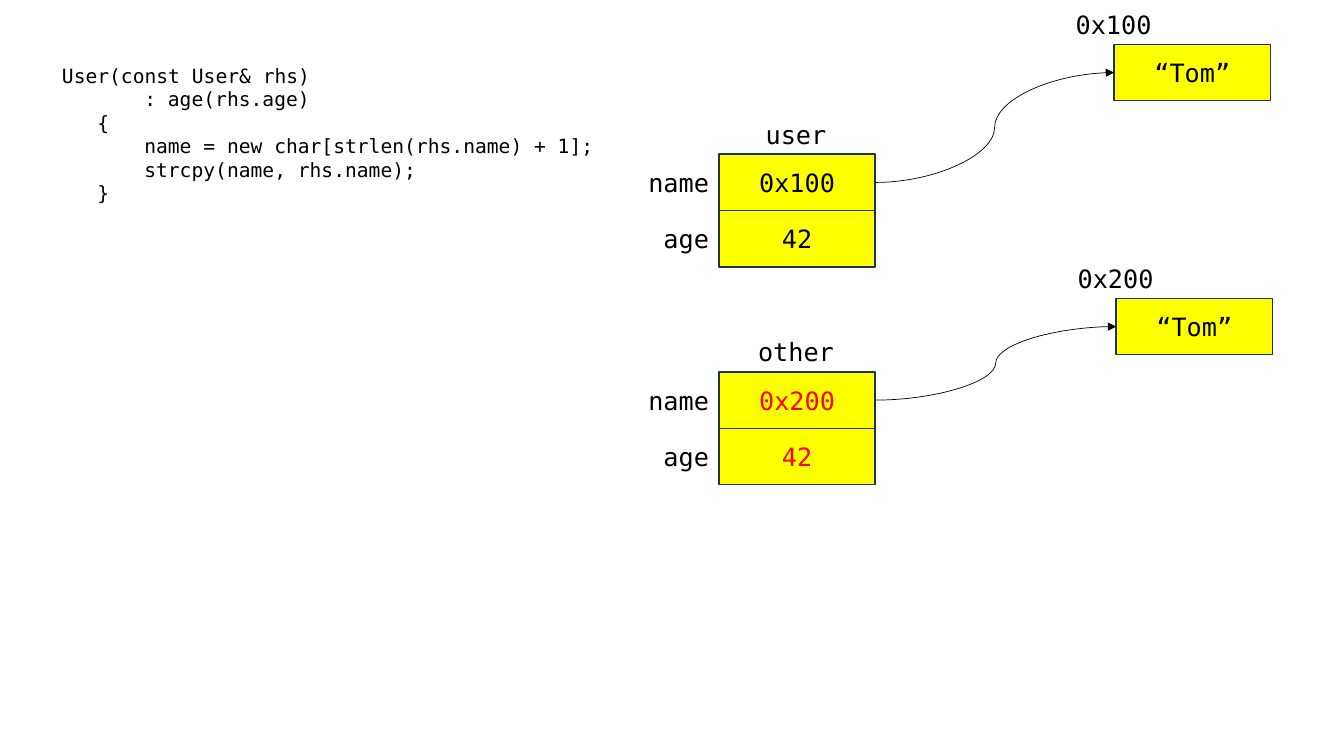
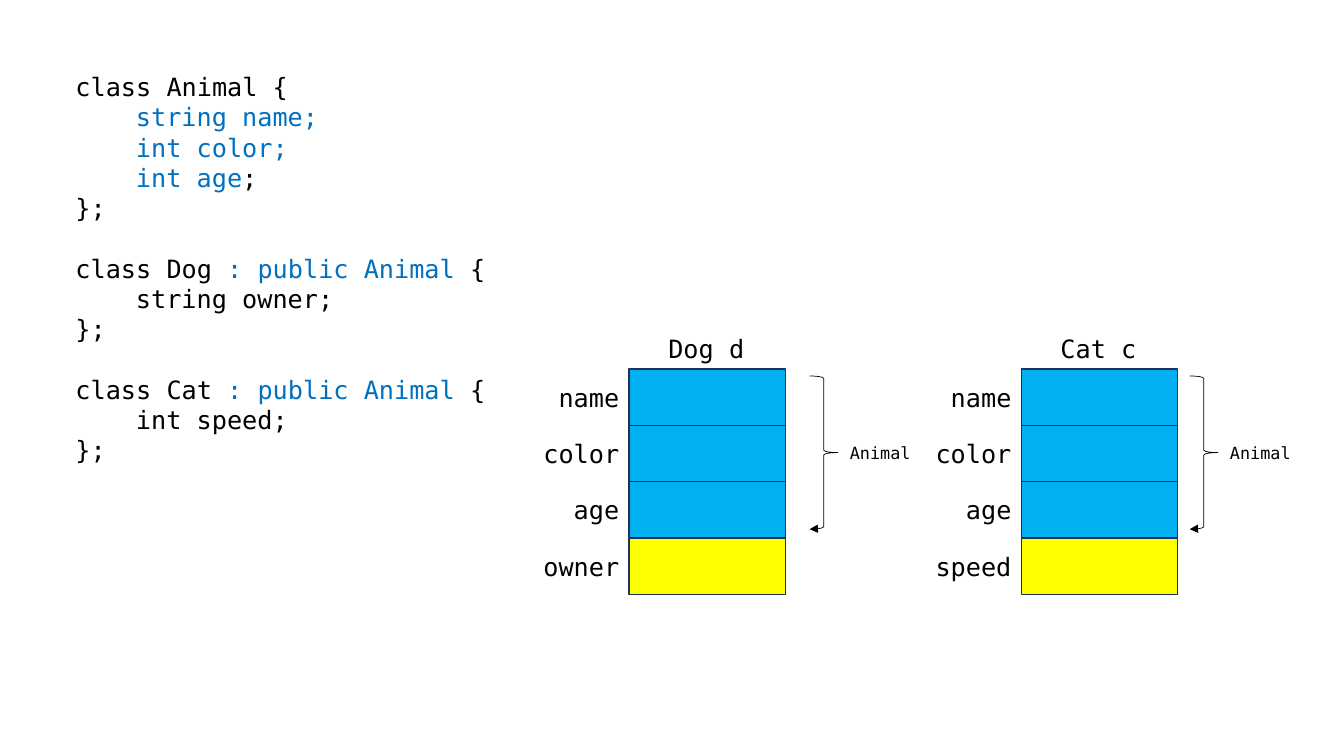
from lxml.etree import SubElement
from pptx import Presentation
from pptx.dml.color import RGBColor
from pptx.enum.shapes import MSO_CONNECTOR, MSO_SHAPE
from pptx.enum.text import MSO_ANCHOR, MSO_AUTO_SIZE, PP_ALIGN
from pptx.oxml.ns import qn
from pptx.util import Inches, Pt

BLACK, RED, BLUE = "000000", "FF0000", "0070C0"
YELLOW, SKY, NAVY = "FFFF00", "00B0F0", "1E3256"
FACE = "DejaVu Sans Mono"
WIDE, HIGH = 1.55, 0.56
TAG = 0.4
LEAD = 1.2
CHAR = 0.6

COPY = [
    (1, [("User(const User& rhs)", BLACK)]),
    (8, [(": age(rhs.age)", BLACK)]),
    (4, [("{", BLACK)]),
    (8, [("name = new char[strlen(rhs.name) + 1];", BLACK)]),
    (8, [("strcpy(name, rhs.name);", BLACK)]),
    (4, [("}", BLACK)]),
]
BASE = [
    (0, [("class Animal {", BLACK)]),
    (4, [("string name;", BLUE)]),
    (4, [("int color;", BLUE)]),
    (4, [("int age", BLUE), (";", BLACK)]),
    (0, [("};", BLACK)]),
]


def derive(kind, field):
    return [
        (0, [(f"class {kind} ", BLACK), (": public Animal ", BLUE), ("{", BLACK)]),
        (4, [(field, BLACK)]),
        (0, [("};", BLACK)]),
    ]


def paint(text):
    return RGBColor.from_string(text)


def apply(item, values):
    for key, value in values.items():
        setattr(item, key, value)


def write(para, text, size, ink):
    run = para.add_run()
    run.text = text
    apply(run.font, {"name": FACE, "size": Pt(size)})
    apply(run.font.color, {"rgb": paint(ink)})


def frame(slide, left, top, wide, high):
    box = slide.shapes.add_textbox(*map(Inches, (left, top, wide, high)))
    apply(box.text_frame, {"word_wrap": True,
                           "auto_size": MSO_AUTO_SIZE.SHAPE_TO_FIT_TEXT})
    return box.text_frame


def label(slide, text, left, top, wide, align=PP_ALIGN.CENTER, size=18):
    para = frame(slide, left, top, wide, TAG if size == 18 else 0.3).paragraphs[0]
    para.alignment = align
    write(para, text, size, BLACK)


def cell(slide, left, top, fill, text="", ink=BLACK):
    box = slide.shapes.add_shape(MSO_SHAPE.RECTANGLE,
                                 *map(Inches, (left, top, WIDE, HIGH)))
    box.shadow.inherit = False
    box.fill.solid()
    apply(box.fill.fore_color, {"rgb": paint(fill)})
    apply(box.line, {"width": Pt(1)})
    apply(box.line.color, {"rgb": paint(NAVY)})
    if text:
        box.text_frame.vertical_anchor = MSO_ANCHOR.MIDDLE
        para = box.text_frame.paragraphs[0]
        para.alignment = PP_ALIGN.CENTER
        write(para, text, 18, ink)
    return box


def stack(slide, title, left, top, rows):
    label(slide, title, left + 0.13, top - TAG, 1.27)
    cells = []
    for index, (name, fill, text, ink) in enumerate(rows):
        level = top + index * HIGH
        cells.append(cell(slide, left, level, fill, text, ink))
        label(slide, name, left - 1.1, level + 0.08, 1.1, PP_ALIGN.RIGHT)
    return cells


def point(shape):
    apply(shape.line, {"width": Pt(0.5)})
    apply(shape.line.color, {"rgb": paint(BLACK)})
    SubElement(shape.line._get_or_add_ln(), qn("a:tailEnd"), type="triangle")


def link(slide, start, end):
    line = slide.shapes.add_connector(MSO_CONNECTOR.CURVE, 0, 0, 0, 0)
    line.begin_connect(start, 3)
    line.end_connect(end, 1)
    point(line)
    SubElement(line._element.spPr, qn("a:effectLst"))


def brace(slide, text, left, top):
    mark = slide.shapes.add_shape(MSO_SHAPE.RIGHT_BRACE,
                                  *map(Inches, (left, top, 0.28, 1.52)))
    mark.fill.background()
    point(mark)
    mark.shadow.inherit = False
    label(slide, text, left + 0.14, top + 0.61, 1.12, size=12)


def code(slide, blocks, size, left, top, wide, high):
    body = frame(slide, left, top, wide, high)
    para = body.paragraphs[0]
    for order, block in enumerate(blocks):
        for index, (depth, parts) in enumerate(block):
            if order or index:
                para = body.add_paragraph()
            if order and not index:
                para.space_before = Pt(size * LEAD)
            inset = Pt(depth * size * CHAR)
            para._p.get_or_add_pPr().set("marL", str(int(inset)))
            for text, ink in parts:
                write(para, text, size, ink)


def user(slide, title, left, top, spot, ink, heap):
    rows = [("name", YELLOW, spot, ink), ("age", YELLOW, "42", ink)]
    first = stack(slide, title, left, top, rows)[0]
    side, level = heap
    target = cell(slide, side, level, YELLOW, "“Tom”")
    label(slide, spot, side - 0.64, level - TAG, 1.27)
    link(slide, first, target)


def animal(slide, title, left, top, field, gap):
    rows = [(name, SKY, "", BLACK) for name in ("name", "color", "age")]
    stack(slide, title, left, top, rows + [(field, YELLOW, "", BLACK)])
    brace(slide, "Animal", left + WIDE + gap, top + 0.07)


def main():
    deck = Presentation()
    apply(deck, {"slide_width": Inches(13.33), "slide_height": Inches(7.5)})
    blank = deck.slide_layouts[6]

    slide = deck.slides.add_slide(blank)
    user(slide, "user", 7.13, 1.53, "0x100", BLACK, (11.05, 0.44))
    user(slide, "other", 7.13, 3.69, "0x200", RED, (11.07, 2.96))
    code(slide, [COPY], 14, 0.4, 0.58, 6.67, 1.51)

    slide = deck.slides.add_slide(blank)
    blocks = [BASE, derive("Dog", "string owner;"), derive("Cat", "int speed;")]
    code(slide, blocks, 18, 0.65, 0.66, 4.49, 4.04)
    animal(slide, "Dog d", 6.24, 3.66, "owner", 0.24)
    animal(slide, "Cat c", 10.13, 3.66, "speed", 0.12)

    deck.save("out.pptx")


if __name__ == "__main__":
    main()
